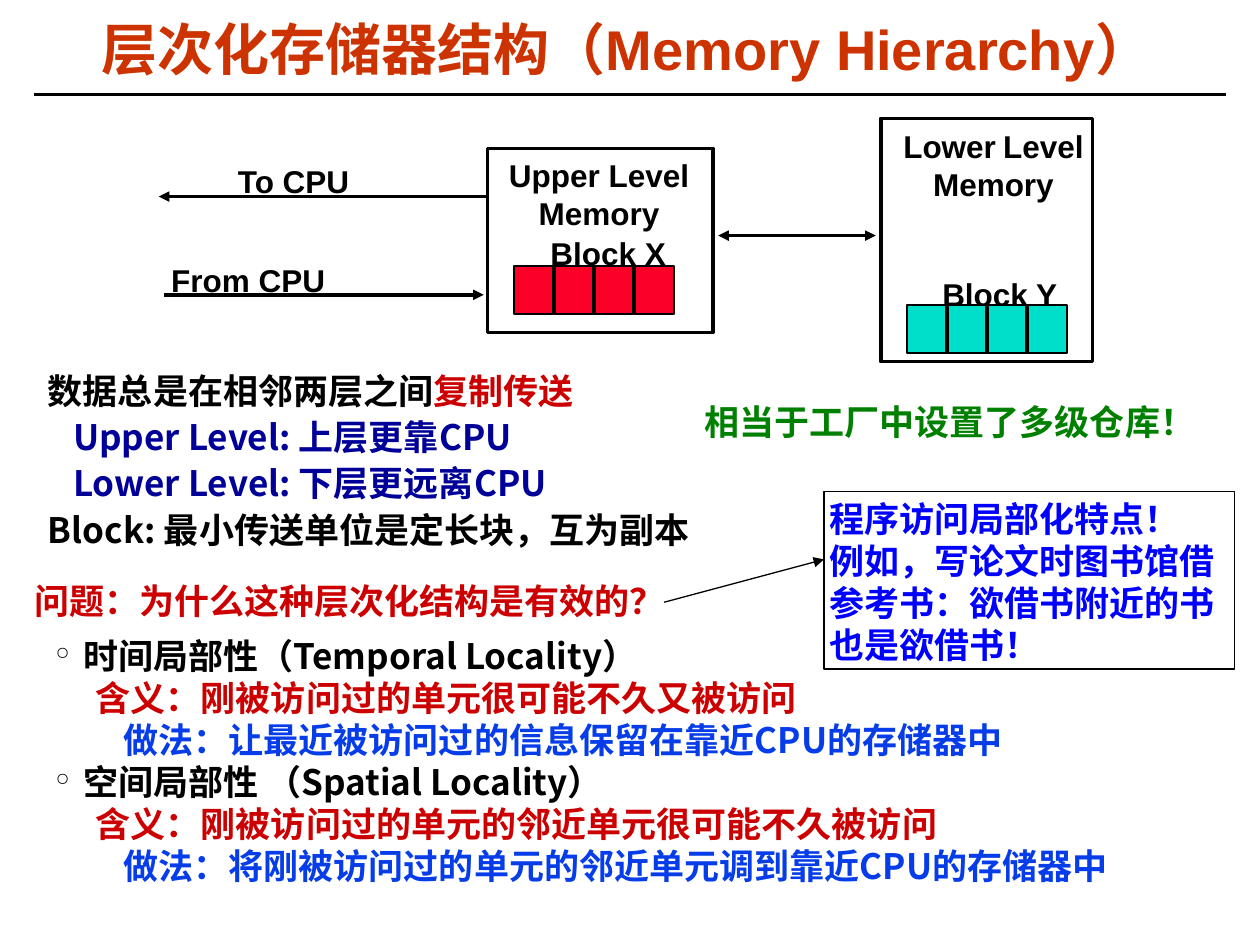
from lxml.etree import SubElement
from pptx import Presentation
from pptx.dml.color import RGBColor
from pptx.enum.shapes import MSO_CONNECTOR, MSO_SHAPE
from pptx.enum.text import MSO_ANCHOR, PP_ALIGN
from pptx.oxml.ns import qn
from pptx.util import Inches, Pt

BLACK = RGBColor(0, 0, 0)
ORANGE = RGBColor(0xCC, 0x33, 0x00)
RED = RGBColor(0xCC, 0x00, 0x00)
NAVY = RGBColor(0x00, 0x00, 0x99)
BLUE = RGBColor(0x06, 0x3D, 0xE8)
BRIGHT = RGBColor(0x00, 0x00, 0xFF)
GREEN = RGBColor(0x00, 0x80, 0x00)
SCARLET = RGBColor(0xFC, 0x01, 0x28)
TEAL = RGBColor(0x00, 0xDF, 0xCA)
ARIAL, NOTO, TIMES = "Arial", "Noto Sans CJK SC", "Times New Roman"


def add_run(para, text, color=BLACK, size=20, name=ARIAL):
    run = para.add_run()
    run.text = text
    look = {"name": name, "size": Pt(size), "bold": True}
    for key, value in look.items():
        setattr(run.font, key, value)
    run.font.color.rgb = color
    SubElement(run.font._element, qn("a:ea"), typeface=NOTO)


def set_indent(para, left, mark=None):
    """Indent a paragraph; a mark hangs in the margin."""
    props = para._p.get_or_add_pPr()
    props.set("marL", str(Inches(left)))
    props.set("indent", str(-Inches(left) if mark else 0))
    if mark:
        color = SubElement(props, qn("a:buClr"))
        SubElement(color, qn("a:srgbClr"), val=str(BLACK))
        SubElement(props, qn("a:buChar"), char=mark)


def set_frame(frame, pads=(0, 0), wrap=True):
    across, down = map(Inches, pads)
    look = {"margin_left": across, "margin_right": across,
            "margin_top": down, "margin_bottom": down,
            "word_wrap": wrap, "vertical_anchor": MSO_ANCHOR.TOP}
    for key, value in look.items():
        setattr(frame, key, value)


def fill_text(frame, lines, pitch=None, gap=0, align=PP_ALIGN.LEFT, **font):
    """Write lines of (runs, indent, mark), each run being (text, color)."""
    for i, (runs, left, mark) in enumerate(lines):
        para = frame.add_paragraph() if i else frame.paragraphs[0]
        set_indent(para, left, mark)
        para.alignment = align
        if pitch:
            para.line_spacing = Pt(pitch)
        if i and gap:
            para.space_before = Pt(gap)
        for text, color in runs:
            add_run(para, text, color, **font)


def add_text(slide, at, lines, pads=(0, 0), **style):
    box = slide.shapes.add_textbox(*map(Inches, at))
    set_frame(box.text_frame, pads)
    fill_text(box.text_frame, lines, **style)


def add_label(slide, at, lines, align=PP_ALIGN.LEFT):
    """Write lines of (text, size, font) runs in a diagram label."""
    box = slide.shapes.add_textbox(*map(Inches, at))
    frame = box.text_frame
    set_frame(frame, (0.1, 0.05), False)
    for i, runs in enumerate(lines):
        para = frame.add_paragraph() if i else frame.paragraphs[0]
        para.alignment = align
        for text, size, name in runs:
            add_run(para, text, BLACK, size, name)


def add_rect(slide, at, width, fill=None):
    rect = slide.shapes.add_shape(MSO_SHAPE.RECTANGLE, *map(Inches, at))
    rect.shadow.inherit = False
    if fill is None:
        rect.fill.background()
    else:
        rect.fill.solid()
        rect.fill.fore_color.rgb = fill
    rect.line.color.rgb = BLACK
    rect.line.width = Pt(width)
    return rect


def add_line(slide, start, end, width=2, heads=()):
    line = slide.shapes.add_connector(
        MSO_CONNECTOR.STRAIGHT, *map(Inches, (*start, *end)))
    line.line.color.rgb = BLACK
    line.line.width = Pt(width)
    for head in heads:
        SubElement(line.line._get_or_add_ln(), qn("a:" + head), type="triangle")
    SubElement(line._element.spPr, qn("a:effectLst"))


def add_block(slide, left, top, fill, count=4, width=1.27, height=0.38):
    add_rect(slide, (left, top, width, height), 1, fill)
    for i in range(1, count):
        x = left + i * width / count
        add_line(slide, (x, top), (x, top + height))


def add_diagram(slide):
    add_rect(slide, (3.87, 1.18, 1.79, 1.46), 2)
    add_rect(slide, (6.99, 0.94, 1.68, 1.93), 2)
    memory = [("Memory", 18, ARIAL)]
    lower = [("Lower", 18, ARIAL), (" ", 16, TIMES), ("Level", 18, ARIAL)]
    upper = [("Upper Level", 18, ARIAL)]
    add_label(slide, (7.07, 0.96, 1.63, 0.7), [lower, memory], PP_ALIGN.CENTER)
    add_label(slide, (3.94, 1.19, 1.63, 0.7), [upper, memory], PP_ALIGN.CENTER)
    add_line(slide, (3.87, 1.56), (1.26, 1.56), heads=["tailEnd"])
    add_line(slide, (1.3, 2.34), (3.84, 2.34), heads=["tailEnd"])
    add_line(slide, (5.7, 1.87), (6.95, 1.87), heads=["headEnd", "tailEnd"])
    for text, left, top, width in [
            ("To CPU", 1.79, 1.24, 1.1), ("From CPU", 1.26, 2.02, 1.42),
            ("Block X", 4.27, 1.81, 1.12), ("Block Y", 7.38, 2.13, 1.12)]:
        add_label(slide, (left, top, width, 0.4), [[(text, 18, ARIAL)]])
    add_block(slide, 4.08, 2.11, SCARLET)
    add_block(slide, 7.2, 2.42, TEAL)


def add_callout(slide):
    rect = add_rect(slide, (6.54, 3.9, 3.26, 1.41), 0.75)
    set_frame(rect.text_frame, (0.04, 0.05))
    texts = ["程序访问局部化特点！",
             "例如，写论文时图书馆借参考书：欲借书附近的书也是欲借书！"]
    fill_text(rect.text_frame, [([(t, BRIGHT)], 0, None) for t in texts], 24)
    add_line(slide, (5.27, 4.78), (6.54, 4.44), 0.75, ["tailEnd"])


def main():
    deck = Presentation()
    deck.slide_width, deck.slide_height = Inches(10), Inches(7.5)
    slide = deck.slides.add_slide(deck.slide_layouts[6])

    add_line(slide, (0.27, 0.75), (9.73, 0.75), 1.5)
    title = [([("层次化存储器结构（Memory Hierarchy）", ORANGE)], 0, None)]
    add_text(slide, (0.52, 0.16, 8.9, 0.52), title, (0.07, 0.03),
             pitch=33, align=PP_ALIGN.CENTER, size=32)
    add_diagram(slide)

    levels = [
        ([("数据总是在相邻两层之间", BLACK), ("复制传送", RED)], 0, None),
        ([("Upper Level: 上层更靠CPU", NAVY)], 0.2, None),
        ([("Lower Level: 下层更远离CPU", NAVY)], 0.2, None),
        ([("Block: 最小传送单位是定长块，互为副本", BLACK)], 0, None)]
    add_text(slide, (0.38, 2.93, 8.05, 1.44), levels,
             pitch=24, gap=2.5, name=NOTO)
    for text, color, at in [
            ("问题：为什么这种层次化结构是有效的？", RED, (0.27, 4.6, 6.31, 0.33)),
            ("相当于工厂中设置了多级仓库！", GREEN, (5.59, 3.18, 3.99, 0.33))]:
        add_text(slide, at, [([(text, color)], 0, None)], pitch=24)

    kinds = [
        ("时间局部性（Temporal Locality）",
         "含义：刚被访问过的单元很可能不久又被访问",
         "做法：让最近被访问过的信息保留在靠近CPU的存储器中"),
        ("空间局部性 （Spatial Locality）",
         "含义：刚被访问过的单元的邻近单元很可能不久被访问",
         "做法：将刚被访问过的单元的邻近单元调到靠近CPU的存储器中")]
    steps = [(BLACK, 0.22, "°"), (RED, 0.32, None), (BLUE, 0.54, None)]
    points = [([(text, color)], left, mark) for kind in kinds
              for text, (color, left, mark) in zip(kind, steps)]
    add_text(slide, (0.37, 5.04, 8.66, 2.23), points, (0.07, 0.03),
             pitch=21.5, gap=2.5, name=NOTO)
    add_callout(slide)
    deck.save("out.pptx")


if __name__ == "__main__":
    main()
